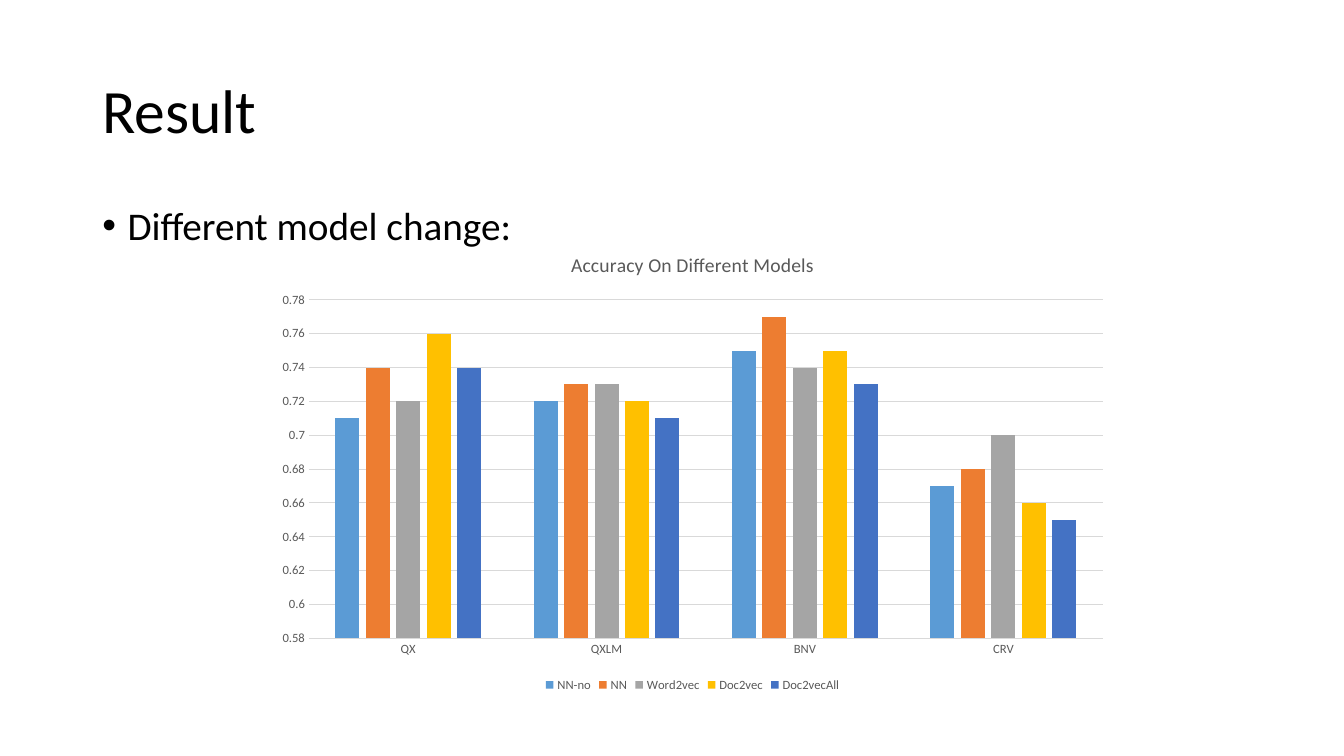
from lxml import etree
from pptx import Presentation, util as u
from pptx.chart.data import CategoryChartData
from pptx.dml.color import RGBColor
from pptx.enum import chart as ch, text
from pptx.oxml import ns

COLORS = {"ink": "000000", "label": "595959", "grid": "D9D9D9",
          "NN-no": "5B9BD5", "NN": "ED7D31", "Word2vec": "A5A5A5",
          "Doc2vec": "FFC000", "Doc2vecAll": "4472C4"}
TICKERS = ["QX", "QXLM", "BNV", "CRV"]
ACCURACY = {"NN-no": [0.71, 0.72, 0.75, 0.67],
            "NN": [0.74, 0.73, 0.77, 0.68],
            "Word2vec": [0.72, 0.73, 0.74, 0.7],
            "Doc2vec": [0.76, 0.72, 0.75, 0.66],
            "Doc2vecAll": [0.74, 0.71, 0.73, 0.65]}


class Deck:
    """Holds the style, the grid and the current slide."""
    FONT, COLS, ROWS = "Calibri", 160, 90

    def __init__(self):
        """Open a wide presentation with one blank slide."""
        self.prs = Presentation()
        self.prs.slide_width, self.prs.slide_height = u.Inches(13.33), u.Inches(7.5)
        self.s = self.prs.slides.add_slide(self.prs.slide_layouts[6])

    def box(self, col, row, cols, rows):
        """Turn grid columns and rows into left, top, width, height."""
        w, h = self.prs.slide_width / self.COLS, self.prs.slide_height / self.ROWS
        return [round(v) for v in (col * w, row * h, cols * w, rows * h)]

    def style(self, font, size, color):
        """Set family, size and colour of a font."""
        font.name, font.size, font.bold = self.FONT, u.Pt(size), False
        font.color.rgb = RGBColor.from_string(COLORS[color])

    def line(self, fmt, color):
        """Give a line format a thin coloured stroke."""
        fmt.line.color.rgb = RGBColor.from_string(COLORS[color])
        fmt.line.width = u.Pt(0.75)

    def text(self, words, cell, size, anchor=text.MSO_ANCHOR.TOP, bullet=False):
        """Add a one-paragraph text box, bulleted on request."""
        tf = self.s.shapes.add_textbox(*self.box(*cell)).text_frame
        tf.word_wrap, tf.vertical_anchor = True, anchor
        p = tf.paragraphs[0]
        p.text, p.line_spacing = words, 0.9
        self.style(p.runs[0].font, size, "ink")
        if bullet:
            p.space_before = u.Pt(10)
            pPr = p._p.get_or_add_pPr()
            pPr.set("marL", str(u.Inches(0.25)))
            pPr.set("indent", str(-u.Inches(0.25)))
            etree.SubElement(pPr, ns.qn("a:buFont"), typeface="Arial")
            etree.SubElement(pPr, ns.qn("a:buChar"), char="•")

    def columns(self, title, cats, series, cell, low, high, step):
        """Add a clustered column chart with a title and bottom legend."""
        data = CategoryChartData()
        data.categories = cats
        for name, vals in series.items():
            data.add_series(name, vals)
        chart = self.s.shapes.add_chart(
            ch.XL_CHART_TYPE.COLUMN_CLUSTERED, *self.box(*cell), data).chart
        self.style(chart.font, 10, "ink")
        tf = chart.chart_title.text_frame
        tf.text = title
        self.style(tf.paragraphs[0].runs[0].font, 14, "label")
        chart.chart_title.include_in_layout = False

        chart.has_legend = True
        chart.legend.position = ch.XL_LEGEND_POSITION.BOTTOM
        chart.legend.include_in_layout = False
        self.style(chart.legend.font, 9, "label")

        for axis in (chart.category_axis, chart.value_axis):
            axis.major_tick_mark = axis.minor_tick_mark = ch.XL_TICK_MARK.NONE
            self.style(axis.tick_labels.font, 9, "label")
        self.line(chart.category_axis.format, "grid")
        axis = chart.value_axis
        axis.minimum_scale, axis.maximum_scale, axis.major_unit = low, high, step
        axis.format.line.fill.background()
        self.line(axis.major_gridlines.format, "grid")

        plot = chart.plots[0]
        plot.gap_width, plot.overlap, plot.vary_by_categories = 219, -27, False
        for ser in plot.series:
            ser.format.fill.solid()
            ser.format.fill.fore_color.rgb = RGBColor.from_string(COLORS[ser.name])


deck = Deck()
deck.text("Result", (11, 4.8, 138, 17.4), 44, text.MSO_ANCHOR.MIDDLE)
deck.text("Different model change:", (11, 24, 138, 57.1), 28, bullet=True)
deck.columns("Accuracy On Different Models", TICKERS, ACCURACY,
             (31.6, 27.7, 101.7, 55.2), 0.58, 0.78, 0.02)
deck.prs.save("out.pptx")
